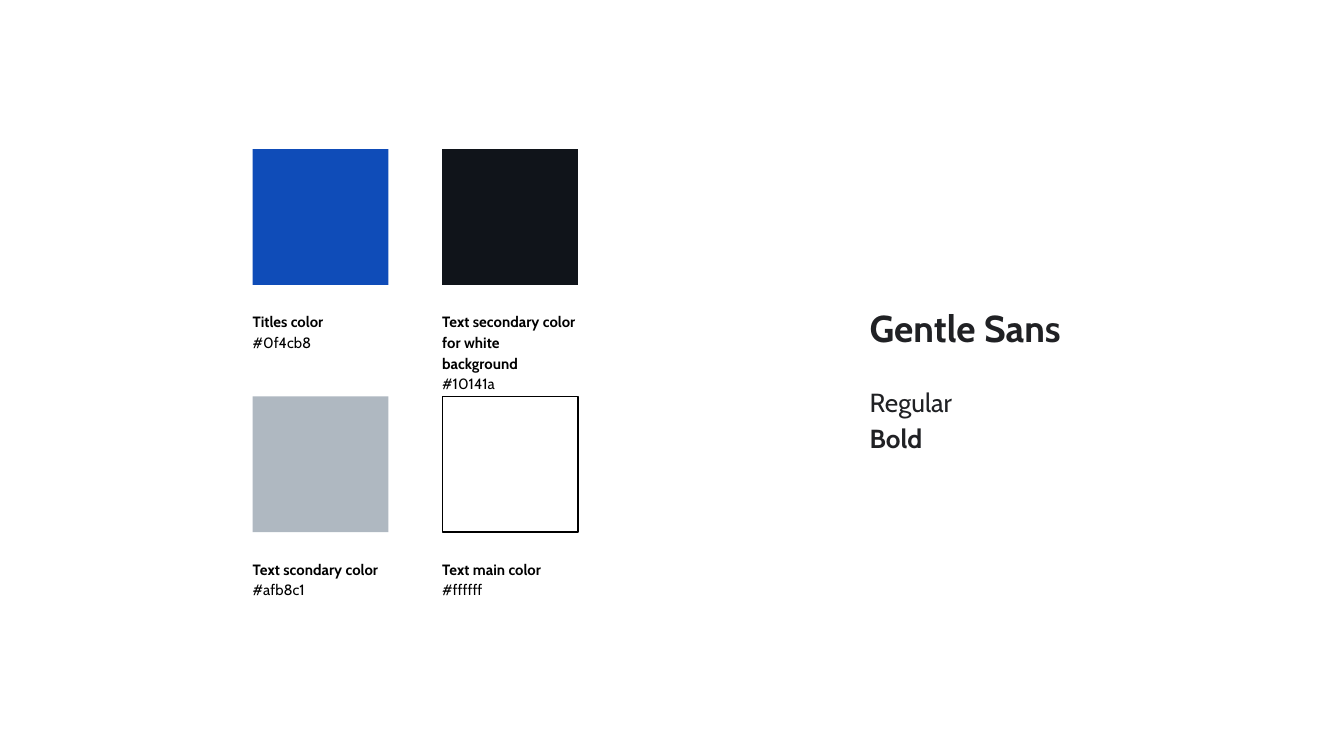
from pptx import Presentation
from pptx.dml.color import RGBColor
from pptx.enum.shapes import MSO_SHAPE as Shape
from pptx.enum.text import MSO_AUTO_SIZE as Fit
from pptx.util import Inches, Pt

FONT = "Cabin"
BLUE = RGBColor(0x0F, 0x4C, 0xB8)
NAVY = RGBColor(0x10, 0x14, 0x1A)
GRAY = RGBColor(0xAF, 0xB8, 0xC1)
WHITE = RGBColor(0xFF, 0xFF, 0xFF)
BLACK = RGBColor(0, 0, 0)
INK = RGBColor(0x20, 0x21, 0x24)

WIDTH = 10
HEIGHT = WIDTH * 9 / 16
SIDE = 1.01  # edge of a color square

# Label, color and outline of each square, row by row
COLORS = [
    ("Titles color", BLUE, None),
    ("Text secondary color for white background", NAVY, None),
    ("Text scondary color", GRAY, None),
    ("Text main color", WHITE, BLACK),
]


def add_box(slide, left, top, width, height, fit=Fit.NONE):
    """Add an empty text box without margins and return its frame."""
    box = slide.shapes.add_textbox(
        Inches(left), Inches(top), Inches(width), Inches(height))
    frame = box.text_frame
    frame.word_wrap = True
    frame.auto_size = fit
    frame.margin_left = frame.margin_right = 0
    frame.margin_top = frame.margin_bottom = 0
    return frame


def add_text(frame, text, size=8, color=BLACK, bold=False, line=1.15, before=0):
    """Write one paragraph, using the first one while it is empty."""
    para = frame.paragraphs[0]
    if para.runs:
        para = frame.add_paragraph()
    para.line_spacing = line
    para.space_before = Pt(before)
    run = para.add_run()
    run.text = text
    font = run.font
    font.name, font.size, font.bold = FONT, Pt(size), bold
    font.color.rgb = color


def add_swatch(slide, left, top, label, color, edge):
    # Color square
    tile = slide.shapes.add_shape(
        Shape.RECTANGLE, Inches(left), Inches(top), Inches(SIDE), Inches(SIDE))
    tile.shadow.inherit = False
    tile.fill.solid()
    tile.fill.fore_color.rgb = color
    if edge is None:
        tile.line.fill.background()
    else:
        tile.line.color.rgb = edge
        tile.line.width = Pt(0.75)

    # Label and hex code
    frame = add_box(slide, left, top + 1.2, SIDE, 0.47)
    add_text(frame, label, bold=True)
    add_text(frame, f"#{color}".lower())


def add_palette(slide, left, top, cols=2, step_x=1.41, step_y=1.84):
    for i, (label, color, edge) in enumerate(COLORS):
        row, col = divmod(i, cols)
        add_swatch(slide, left + col * step_x, top + row * step_y,
                   label, color, edge)


def add_fonts(slide, left, top, width, height):
    frame = add_box(slide, left, top, width, height, fit=Fit.SHAPE_TO_FIT_TEXT)
    add_text(frame, "Gentle Sans", size=20, color=INK, bold=True, line=1.0)
    add_text(frame, "Regular", size=14, color=INK, before=17)
    add_text(frame, "Bold", size=14, color=INK, bold=True)


def main():
    deck = Presentation()
    deck.slide_width, deck.slide_height = Inches(WIDTH), Inches(HEIGHT)
    slide = deck.slides.add_slide(deck.slide_layouts[6])
    slide.background.fill.solid()
    slide.background.fill.fore_color.rgb = WHITE

    add_palette(slide, 1.88, 1.11)
    add_fonts(slide, 6.47, 2.27, 2.12, 1.08)

    deck.save("out.pptx")


if __name__ == "__main__":
    main()
